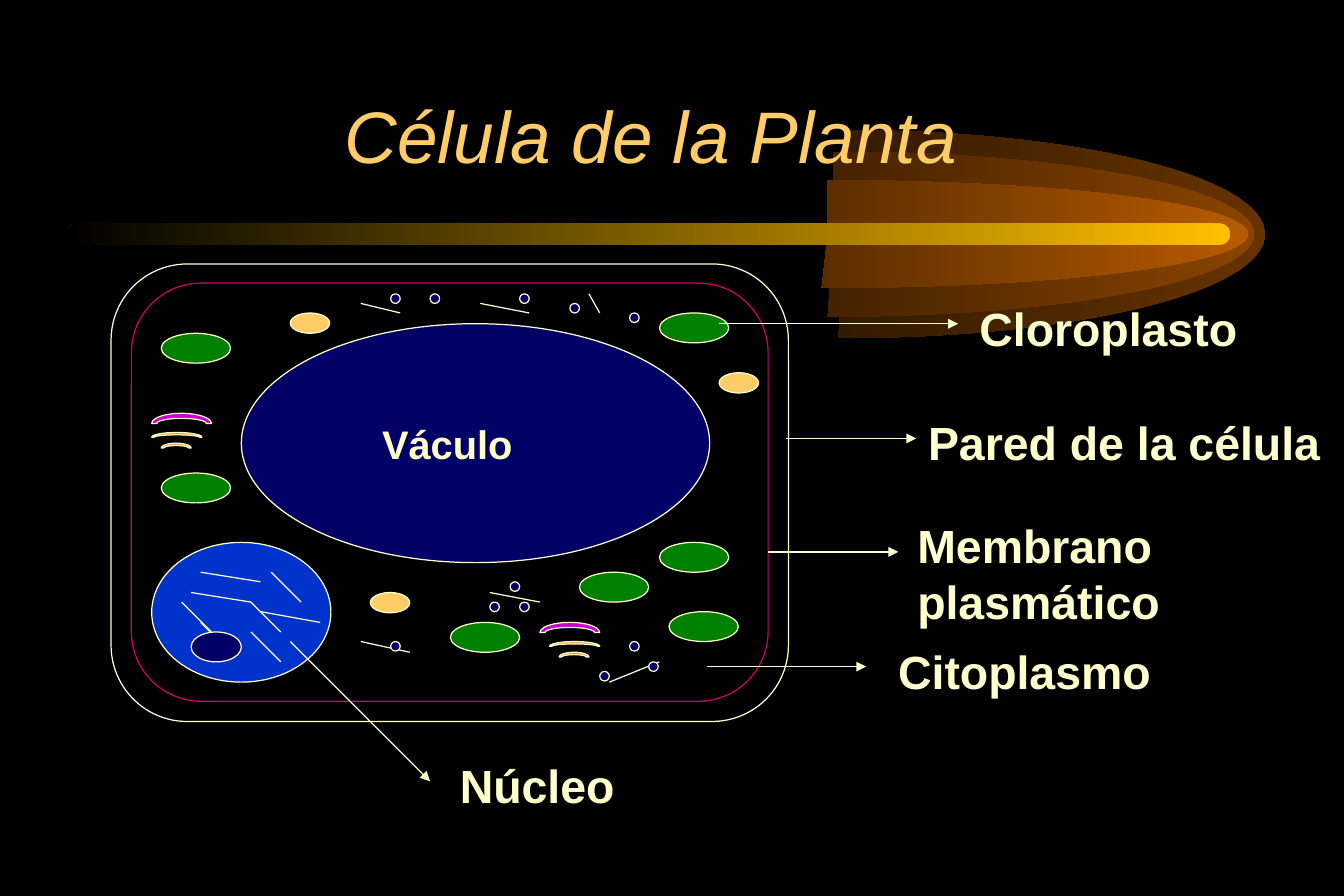
from lxml import etree
from pptx import Presentation
from pptx.dml.color import RGBColor
from pptx.enum.shapes import MSO_CONNECTOR, MSO_SHAPE
from pptx.enum.text import MSO_ANCHOR, MSO_AUTO_SIZE, PP_ALIGN
from pptx.oxml.ns import qn
from pptx.util import Inches, Pt

OVAL = MSO_SHAPE.OVAL
ARC = MSO_SHAPE.BLOCK_ARC
ROUNDED = MSO_SHAPE.ROUNDED_RECTANGLE
STRAIGHT = MSO_CONNECTOR.STRAIGHT
BLACK = RGBColor(0x00, 0x00, 0x00)
CREAM = RGBColor(0xFF, 0xFF, 0xCC)
GOLD = RGBColor(0xFF, 0xCC, 0x66)
CRIMSON = RGBColor(0xCC, 0x00, 0x66)
NAVY = RGBColor(0x00, 0x00, 0x66)
BLUE = RGBColor(0x00, 0x33, 0xCC)
GREEN = RGBColor(0x00, 0x80, 0x00)
ORANGE = RGBColor(0xFF, 0x99, 0x33)
MAGENTA = RGBColor(0xCC, 0x00, 0xCC)
AMBER = RGBColor(0xFF, 0xBF, 0x00)
BROWN = RGBColor(0x66, 0x33, 0x00)
RUST = RGBColor(0x89, 0x44, 0x00)
COPPER = RGBColor(0xB7, 0x5B, 0x00)

deck = Presentation()
deck.slide_width = Inches(11.25)
deck.slide_height = Inches(7.5)
page = deck.slides.add_slide(deck.slide_layouts[5])
page.background.fill.solid()
page.background.fill.fore_color.rgb = BLACK


def add_part(kind, left, top, width, height, fill, line=CREAM):
    part = page.shapes.add_shape(kind, Inches(left), Inches(top), Inches(width), Inches(height))
    part.shadow.inherit = False
    part.fill.solid()
    part.fill.fore_color.rgb = fill
    part.line.color.rgb = line
    part.line.width = Pt(0.75)


def add_line(start_x, start_y, end_x, end_y, arrow=False):
    line = page.shapes.add_connector(
        STRAIGHT, Inches(start_x), Inches(start_y), Inches(end_x), Inches(end_y))
    line.line.color.rgb = CREAM
    line.line.width = Pt(0.75)
    properties = line._element.spPr
    if arrow:
        etree.SubElement(properties.find(qn("a:ln")), qn("a:tailEnd"), type="triangle")
    etree.SubElement(properties, qn("a:effectLst"))


COMET_CENTER = 1.96
COMET_REACH = 3.52
COMET_CURVE = [(0, -1), (1.26, -1), (2.42, -0.81), (3.05, -0.5), (3.68, -0.19),
               (3.68, 0.19), (3.05, 0.5), (2.41, 0.81), (1.25, 1), (-0.05, 1), (0, 0)]
comet = []
for middle, half_height, bright in [(7.07, 0.87, BROWN), (6.98, 0.69, RUST), (6.93, 0.45, COPPER)]:
    points = [(Inches(middle + x), Inches(COMET_CENTER + half_height * y)) for x, y in COMET_CURVE]
    builder = page.shapes.build_freeform(*points[0])
    builder.add_line_segments(points[1:], close=True)
    glow = builder.convert_to_shape()
    outline = next(glow._element.iter(qn("a:path")))
    segments = list(outline)
    for first in (1, 4, 7):
        curve = etree.Element(qn("a:cubicBezTo"))
        segments[first].addprevious(curve)
        for segment in segments[first:first + 3]:
            curve.append(segment[0])
            outline.remove(segment)
    box_left = Inches(middle - COMET_REACH)
    shift = glow.left - box_left
    for point in outline.iter(qn("a:pt")):
        point.set("x", str(int(point.get("x")) + shift))
    glow.left = box_left
    glow.width = Inches(2 * COMET_REACH)
    outline.set("w", str(glow.width))
    comet.append((glow, bright))

beam = page.shapes.add_shape(ROUNDED, Inches(0.56), Inches(1.87), Inches(9.74), Inches(0.18))
beam.adjustments[0] = 0.5
comet.append((beam, AMBER))
for piece, bright in comet:
    piece.shadow.inherit = False
    piece.line.fill.background()
    piece.fill.gradient()
    piece.fill.gradient_angle = 180
    for stop, color in zip(piece.fill.gradient_stops, (bright, BLACK)):
        stop.color.rgb = color

title = page.shapes.title
title.element.getparent().append(title.element)
title.left, title.top, title.width, title.height = map(Inches, (0.67, 0.5, 9.56, 1.25))
title.text_frame.text = "Célula de la Planta"
title.text_frame.vertical_anchor = MSO_ANCHOR.MIDDLE
title.text_frame.auto_size = MSO_AUTO_SIZE.NONE
para = title.text_frame.paragraphs[0]
para.alignment = PP_ALIGN.CENTER
for name, value in {"name": "Arial", "size": Pt(44), "italic": True, "bold": False}.items():
    setattr(para.runs[0].font, name, value)
para.runs[0].font.color.rgb = GOLD

add_part(ROUNDED, 0.93, 2.21, 5.67, 3.83, BLACK)
add_part(ROUNDED, 1.1, 2.37, 5.33, 3.5, BLACK, CRIMSON)
add_part(OVAL, 2.02, 2.71, 3.92, 2, NAVY)
add_part(OVAL, 1.27, 4.54, 1.5, 1.17, BLUE)

chromatin = [
    (1.6, 4.96, 2.1, 5.04), (1.68, 5.21, 1.93, 5.46), (1.52, 5.04, 1.77, 5.29),
    (2.1, 5.04, 2.35, 5.29), (2.1, 5.29, 2.35, 5.54), (2.27, 4.79, 2.52, 5.04),
    (1.68, 4.79, 2.18, 4.87), (2.18, 5.12, 2.68, 5.21),
]
for strand in chromatin:
    add_line(*strand)
add_part(OVAL, 1.6, 5.29, 0.42, 0.25, NAVY)

chloroplasts = [(3.77, 5.21), (4.85, 4.79), (1.35, 3.96), (5.6, 5.12),
                (5.52, 2.62), (5.52, 4.54), (1.35, 2.79)]
for left, top in chloroplasts:
    add_part(OVAL, left, top, 0.58, 0.25, GREEN)
for left, top in [(2.43, 2.62), (3.1, 4.96), (6.02, 3.12)]:
    add_part(OVAL, left, top, 0.33, 0.17, GOLD)

golgi_arcs = [
    (4.68, 5.46, 0.25, 0.08, ORANGE), (4.52, 5.21, 0.5, 0.17, MAGENTA),
    (4.6, 5.37, 0.42, 0.08, ORANGE), (1.27, 3.46, 0.5, 0.17, MAGENTA),
    (1.27, 3.62, 0.42, 0.08, ORANGE), (1.35, 3.71, 0.25, 0.08, ORANGE),
]
for arc in golgi_arcs:
    add_part(ARC, *arc)

filaments = [
    (4.93, 2.46, 5.02, 2.62), (4.02, 2.54, 4.43, 2.62), (3.02, 2.54, 3.35, 2.62),
    (3.02, 5.37, 3.43, 5.46), (4.1, 4.96, 4.52, 5.04), (5.1, 5.71, 5.52, 5.54),
]
for filament in filaments:
    add_line(*filament)

ribosomes = [(4.77, 2.54), (5.27, 2.62), (4.35, 2.46), (3.27, 2.46), (3.27, 5.37), (3.6, 2.46),
             (4.35, 5.04), (4.1, 5.04), (4.27, 4.87), (5.02, 5.62), (5.43, 5.54), (5.27, 5.37)]
for left, top in ribosomes:
    add_part(OVAL, left, top, 0.08, 0.08, NAVY)

pointers = [
    (6.02, 2.71, 8.02, 2.71), (2.43, 5.37, 3.6, 6.54), (6.58, 3.67, 7.67, 3.67),
    (6.43, 4.62, 7.52, 4.62), (5.92, 5.58, 7.25, 5.58),
]
for pointer in pointers:
    add_line(*pointer, arrow=True)

labels = [
    ("Váculo", 3.1, 3.46, 2.17, 0.5, 24),
    ("Cloroplasto", 8.1, 2.46, 2.9, 0.57, 28),
    ("Núcleo", 3.75, 6.29, 2.42, 0.57, 28),
    ("Pared de la célula", 7.67, 3.42, 3.58, 0.57, 28),
    ("Membrano plasmático", 7.58, 4.28, 3.92, 1.04, 28),
    ("Citoplasmo", 7.42, 5.33, 2.33, 0.57, 28),
]
for text, left, top, width, height, size in labels:
    box = page.shapes.add_textbox(Inches(left), Inches(top), Inches(width), Inches(height))
    box.text_frame.word_wrap = True
    span = box.text_frame.paragraphs[0].add_run()
    span.text = text
    for name, value in {"name": "Arial", "size": Pt(size), "bold": True}.items():
        setattr(span.font, name, value)
    span.font.color.rgb = CREAM

deck.save("out.pptx")
